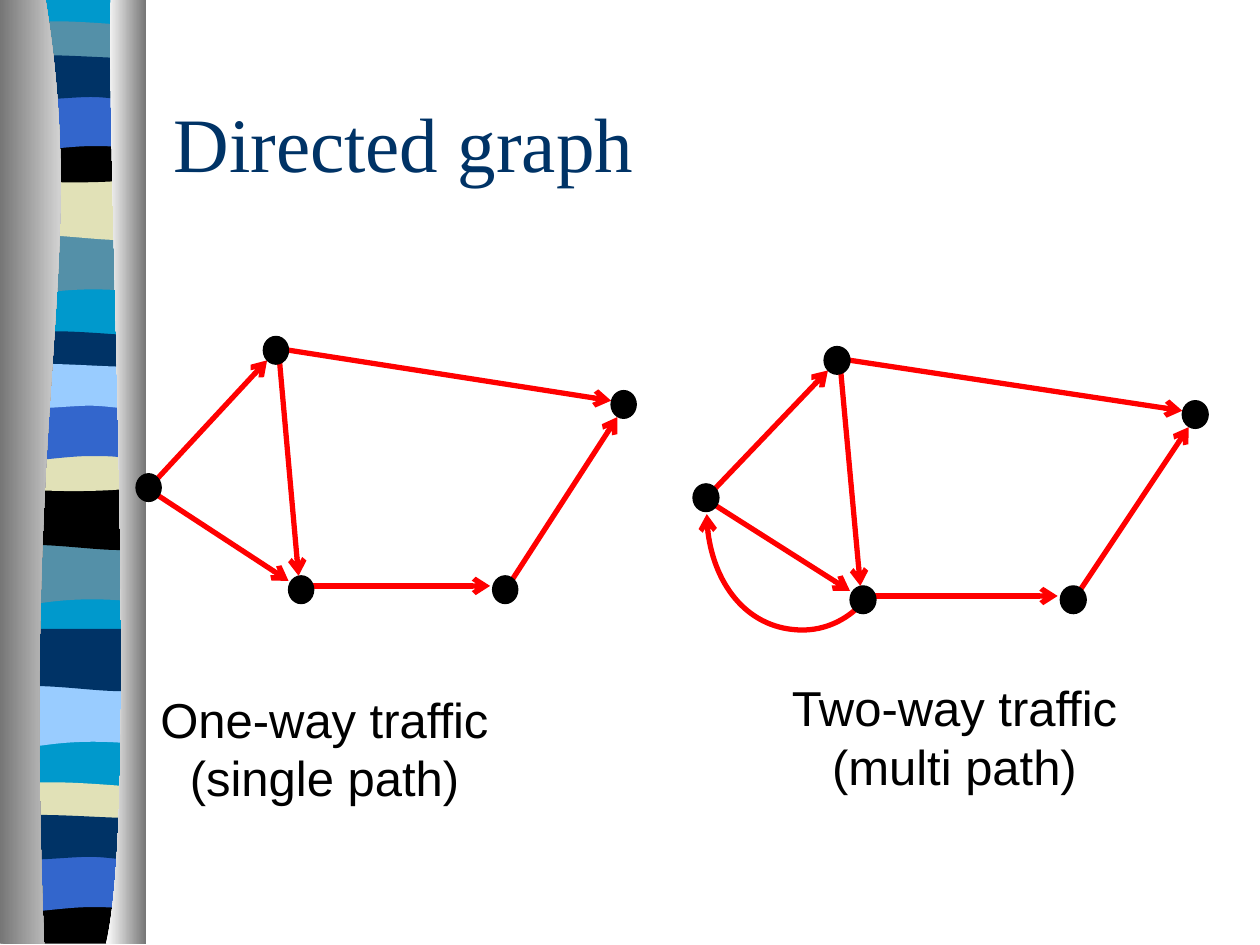
from lxml.etree import SubElement
from pptx import Presentation
from pptx.dml.color import RGBColor
from pptx.enum.shapes import MSO_CONNECTOR, MSO_SHAPE
from pptx.enum.text import MSO_ANCHOR, PP_ALIGN
from pptx.oxml.ns import qn
from pptx.util import Inches, Pt

color = RGBColor.from_string


def outline(start, segments, close=True, left=0, top=0):
    vertices = [start] + [point for segment in segments for point in segment]
    lengths = [(Inches(x + left), Inches(y + top)) for x, y in vertices]
    builder = slide.shapes.build_freeform(*lengths[0], scale=1.0)
    builder.add_line_segments(lengths[1:], close=close)
    shape = builder.convert_to_shape()
    shape.shadow.inherit = False
    steps = iter(shape._element.xpath(".//a:lnTo"))
    for segment in segments:
        first, *others = [next(steps) for point in segment]
        if others:
            first.tag = qn("a:cubicBezTo")
        for other in others:
            first.append(other[0])
            other.getparent().remove(other)
    return shape


presentation = Presentation()
presentation.slide_width = Inches(10)
presentation.slide_height = Inches(7.5)
slide = presentation.slides.add_slide(presentation.slide_layouts[6])

waves = {
    "block": ((1.14, 0), [[(1.14, 7.48)], [(0.06, 7.48)], [(0.06, 0)]]),
    "sag": ((1.14, 0), [
        [(1.14, 0), (1.14, 0.47), (1.14, 0.47)], [(0.39, 0.39), (0.23, 0.55), (0.05, 0.47)], [(0.05, 0)],
    ]),
    "swell": ((1.14, 0), [
        [(1.14, 0.47)], [(0.96, 0.55), (0.39, 0.41), (0.06, 0.47)], [(0.06, 0)],
    ]),
    "shallow": ((1.14, 0.05), [
        [(1.14, 0.29)], [(0.96, 0.33), (0.24, 0.33), (0.06, 0.29)], [(0.06, 0.05)],
        [(0.13, 0), (0.29, 0.01), (0.47, 0.01)], [(0.65, 0.01), (1, 0.04), (1.14, 0.05)],
    ]),
    "dip": ((1.14, 0), [
        [(1.14, 0.33)], [(0.96, 0.38), (0.23, 0.38), (0.05, 0.33)], [(0.05, 0)],
        [(0.72, 0.05), (0.91, 0), (1.14, 0)],
    ]),
    "arch": ((1.14, 0), [
        [(1.14, 0), (1.14, 0.47), (1.14, 0.47)], [(0.97, 0.42), (0.9, 0.42), (0.72, 0.42)],
        [(0.54, 0.42), (0.22, 0.47), (0.06, 0.47)], [(0.06, 0)],
    ]),
    "ripple": ((1.14, 0.05), [
        [(1.14, 0.36)], [(1.07, 0.41), (0.9, 0.36), (0.72, 0.36)],
        [(0.54, 0.36), (0.17, 0.41), (0.06, 0.36)], [(0.06, 0.05)],
        [(0.21, 0), (0.79, 0.05), (0.97, 0.05)], [(1.15, 0.05), (1.1, 0.05), (1.14, 0.05)],
    ]),
    "base": ((1.14, 0), [
        [(1.14, 0.37)], [(0.07, 0.37)], [(0.05, 0)], [(0.72, 0.05), (0.91, 0), (1.14, 0)],
    ]),
}
bands = [
    ("block", "0099CC", 0, -0.01),
    ("sag", "5490A8", 0, 1.85),
    ("swell", "E1E1B7", 0, 1.41),
    ("shallow", "5490A8", 0, 0.16),
    ("dip", "000000", 0, 1.08),
    ("arch", "3366CC", 0, 0.74),
    ("ripple", "003366", 0, 0.41),
    ("sag", "5490A8", -0.01, 4.31),
    ("swell", "000000", -0.01, 3.87),
    ("shallow", "003366", -0.01, 2.62),
    ("dip", "E1E1B7", -0.01, 3.53),
    ("arch", "3366CC", -0.01, 3.2),
    ("ripple", "99CCFF", -0.01, 2.86),
    ("sag", "99CCFF", 0, 5.44),
    ("swell", "003366", 0, 4.99),
    ("shallow", "E1E1B7", -0.01, 6.2),
    ("base", "000000", -0.01, 7.12),
    ("arch", "3366CC", -0.01, 6.78),
    ("ripple", "003366", -0.01, 6.44),
]
for wave, fill, left, top in bands:
    band = outline(*waves[wave], left=left, top=top)
    band.fill.solid()
    band.fill.fore_color.rgb = color(fill)
    band.line.fill.background()

borders = [
    ((0.36, -0.01), [[(0.71, 2.16), (0.17, 2.96), (0.35, 7.49)], [(0, 7.49)], [(0, -0.01)]], ("767676", "FFFFFF")),
    ((0.88, -0.01), [[(0.84, 1.25), (1.11, 6.46), (0.84, 7.49)], [(1.16, 7.49)], [(1.16, 0)]], ("FFFFFF", "767676")),
]
for start, segments, shades in borders:
    border = outline(start, segments)
    border.fill.gradient()
    border.fill.gradient_angle = 0
    for stop, shade in zip(border.fill.gradient_stops, shades):
        stop.color.rgb = color(shade)
    border.line.fill.background()

edges = [
    (4.04, 4.64, 4.9, 3.31),
    (2.23, 2.77, 4.85, 3.18),
    (2.21, 2.77, 2.37, 4.57),
    (2.43, 4.65, 3.89, 4.65),
    (1.22, 3.91, 2.29, 4.61),
    (1.22, 3.83, 2.12, 2.86),
]
nodes = [(1.08, 3.76), (4.85, 3.1), (3.91, 4.57), (2.29, 4.57), (2.09, 2.67)]

return_edge = outline(
    (5.61, 4.08),
    [[(5.61, 4.59), (5.95, 5), (6.37, 5)], [(6.54, 5), (6.71, 4.93), (6.84, 4.79)]],
    close=False,
)
return_edge.fill.background()
arrows = [(return_edge, "a:headEnd")]

for graph_left, drop, stretch in [(5.5, 0.08, 1.03), (1.08, 0, 1)]:
    shift = graph_left - 1.08 * stretch
    for x1, y1, x2, y2 in edges:
        edge = slide.shapes.add_connector(
            MSO_CONNECTOR.STRAIGHT,
            Inches(x1 * stretch + shift), Inches(y1 + drop),
            Inches(x2 * stretch + shift), Inches(y2 + drop),
        )
        SubElement(edge._element.spPr, qn("a:effectLst"))
        arrows.append((edge, "a:tailEnd"))
    for x, y in nodes:
        node = slide.shapes.add_shape(
            MSO_SHAPE.OVAL, Inches(x * stretch + shift), Inches(y + drop), Inches(0.2 * stretch), Inches(0.22)
        )
        node.shadow.inherit = False
        node.fill.solid()
        node.fill.fore_color.rgb = color("000000")
        node.line.color.rgb = color("000000")
        node.line.width = Pt(0.75)

for arrow, end in arrows:
    arrow.line.color.rgb = color("FF0000")
    arrow.line.width = Pt(3)
    SubElement(arrow.line._get_or_add_ln(), qn(end), type="arrow")

title_font = {"name": "Times New Roman", "size": Pt(44)}
caption_font = {"name": "Arial", "size": Pt(28)}
texts = [
    ((1.28, 0.5, 8.5, 1.25), ["Directed graph"], title_font, "003366", PP_ALIGN.LEFT, MSO_ANCHOR.MIDDLE, True),
    ((1.17, 5.42, 2.81, 1.04), ["One-way traffic", "(single path)"], caption_font, "000000",
     PP_ALIGN.CENTER, MSO_ANCHOR.TOP, False),
    ((6.17, 5.33, 2.81, 1.04), ["Two-way traffic", "(multi path)"], caption_font, "000000",
     PP_ALIGN.CENTER, MSO_ANCHOR.TOP, False),
]
for box, lines, font_format, font_color, alignment, anchor, wrap in texts:
    frame = slide.shapes.add_textbox(*[Inches(length) for length in box]).text_frame
    frame.word_wrap = wrap
    frame.vertical_anchor = anchor
    frame.text = "\n".join(lines)
    for paragraph in frame.paragraphs:
        paragraph.alignment = alignment
        font = paragraph.runs[0].font
        font.color.rgb = color(font_color)
        for attribute, value in font_format.items():
            setattr(font, attribute, value)

presentation.save("out.pptx")
